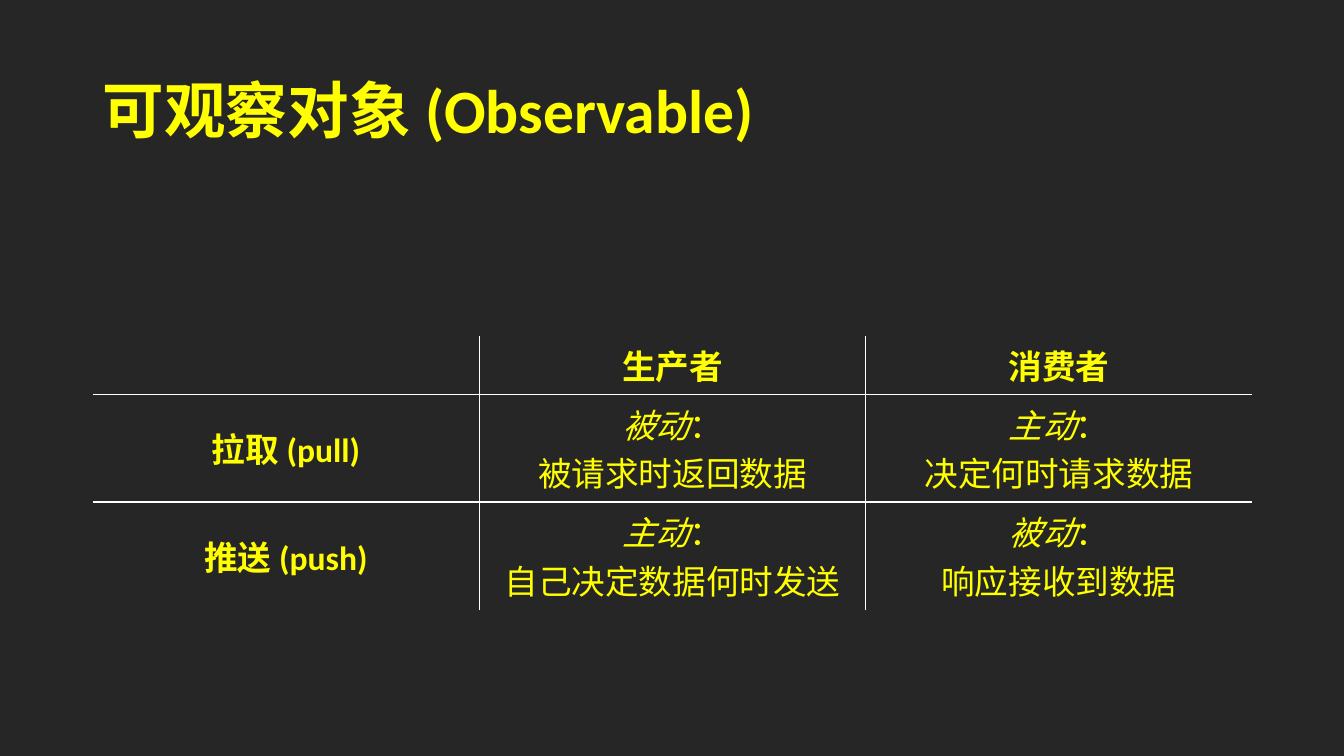
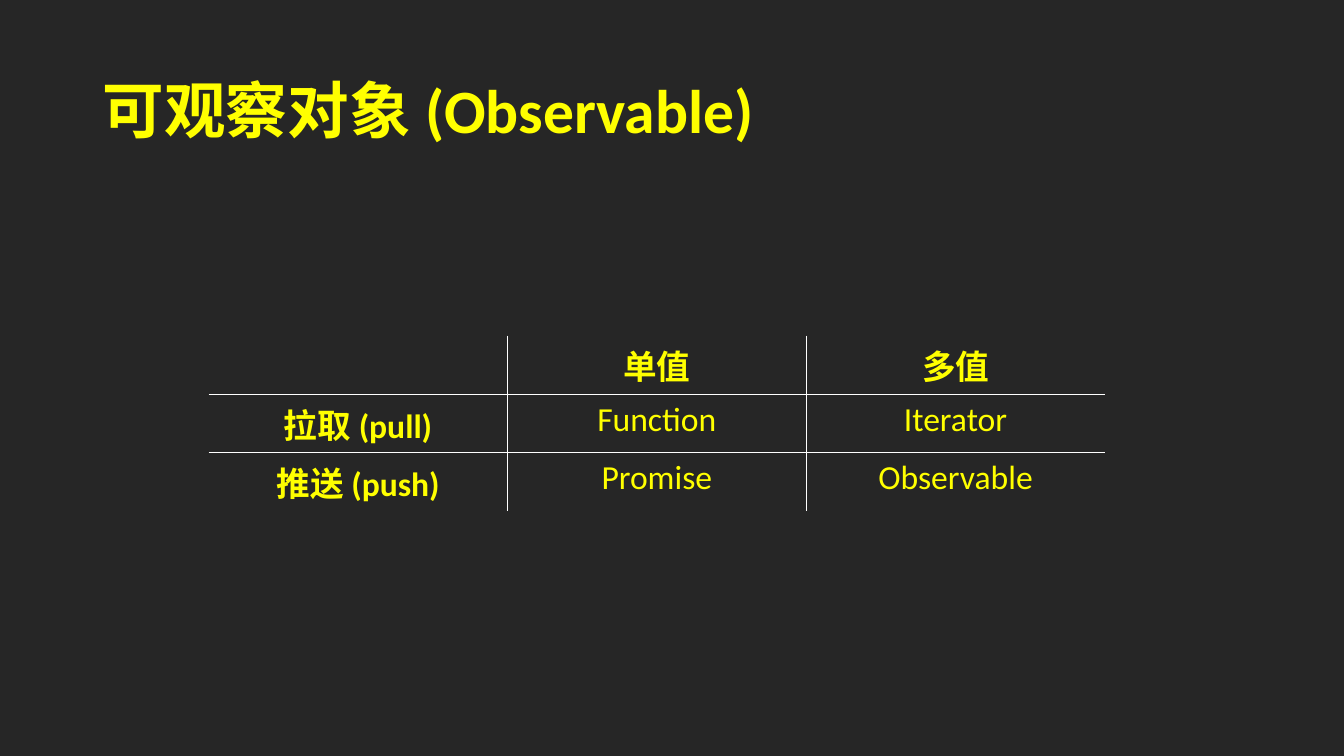
"""Build two slides that compare pull and push for observables."""
from lxml.etree import SubElement
from pptx import Presentation
from pptx.dml.color import RGBColor
from pptx.enum.lang import MSO_LANGUAGE_ID as Language
from pptx.enum.text import MSO_ANCHOR as Anchor, PP_ALIGN as Align
from pptx.oxml.ns import qn
from pptx.util import Inches, Pt

BACKGROUND, TEXT, RULE = "262626", "FFFF00", "FFFFFF"
FONT = "Calibri"
TITLE = "可观察对象 (Observable)"

TABLES = [
    (0.92, 11.5, [0.58, 1.07, 1.07], [
        ["", "生产者", "消费者"],
        ["拉取 (pull)", "*被动*：\n被请求时返回数据", "*主动*：\n决定何时请求数据"],
        ["推送 (push)", "*主动*：\n自己决定数据何时发送", "*被动*：\n响应接收到数据"],
    ]),
    (2.07, 8.89, [0.58, 0.58, 0.58], [
        ["", "单值", "多值"],
        ["拉取 (pull)", "Function", "Iterator"],
        ["推送 (push)", "Promise", "Observable"],
    ]),
]


def write(frame, text, size=24, bold=False, align=Align.CENTER, spacing=None):
    """Write text line by line, with parts between asterisks in italics."""
    for index, line in enumerate(text.split("\n")):
        paragraph = frame.add_paragraph() if index else frame.paragraphs[0]
        paragraph.alignment = align
        paragraph.line_spacing = spacing
        for position, part in enumerate(line.split("*")):
            if part:
                run = paragraph.add_run()
                run.text = part
                font = run.font
                font.name, font.size, font.bold = FONT, Pt(size), bold
                font.italic = position % 2 == 1
                font.color.rgb = RGBColor.from_string(TEXT)
                font.language_id = Language.SIMPLIFIED_CHINESE


def set_borders(cell, **visible):
    """Draw the visible edges of a cell and clear the others."""
    properties = cell._tc.get_or_add_tcPr()
    for index, (edge, shown) in enumerate(visible.items()):
        line = SubElement(properties, qn(f"a:ln{edge}"), w=str(Pt(1)))
        if shown:
            fill = SubElement(line, qn("a:solidFill"))
            SubElement(fill, qn("a:srgbClr"), val=RULE)
        else:
            SubElement(line, qn("a:noFill"))
        properties.insert(index, line)


presentation = Presentation()
presentation.slide_width = Inches(13.33)
presentation.slide_height = Inches(7.5)

for left, width, heights, rows in TABLES:
    slide = presentation.slides.add_slide(presentation.slide_layouts[6])
    slide.background.fill.solid()
    slide.background.fill.fore_color.rgb = RGBColor.from_string(BACKGROUND)

    title = slide.shapes.add_textbox(Inches(0.92), Inches(0.4), Inches(11.5), Inches(1.45))
    title.text_frame.word_wrap = True
    title.text_frame.vertical_anchor = Anchor.MIDDLE
    write(title.text_frame, TITLE, size=44, bold=True, align=Align.LEFT, spacing=0.9)

    last_row, last_column = len(rows) - 1, len(rows[0]) - 1
    table = slide.shapes.add_table(len(rows), len(rows[0]), Inches(left), Inches(3.33),
                                   Inches(width), Inches(sum(heights))).table
    table.first_row = table.horz_banding = False
    for row, texts in enumerate(rows):
        table.rows[row].height = Inches(heights[row])
        for column, text in enumerate(texts):
            cell = table.cell(row, column)
            cell.fill.background()
            cell.vertical_anchor = Anchor.TOP if column else Anchor.MIDDLE
            write(cell.text_frame, text, bold=row == 0 or column == 0)
            set_borders(cell, L=column > 0, R=column < last_column,
                        T=row > 0, B=row < last_row)

presentation.save("out.pptx")
